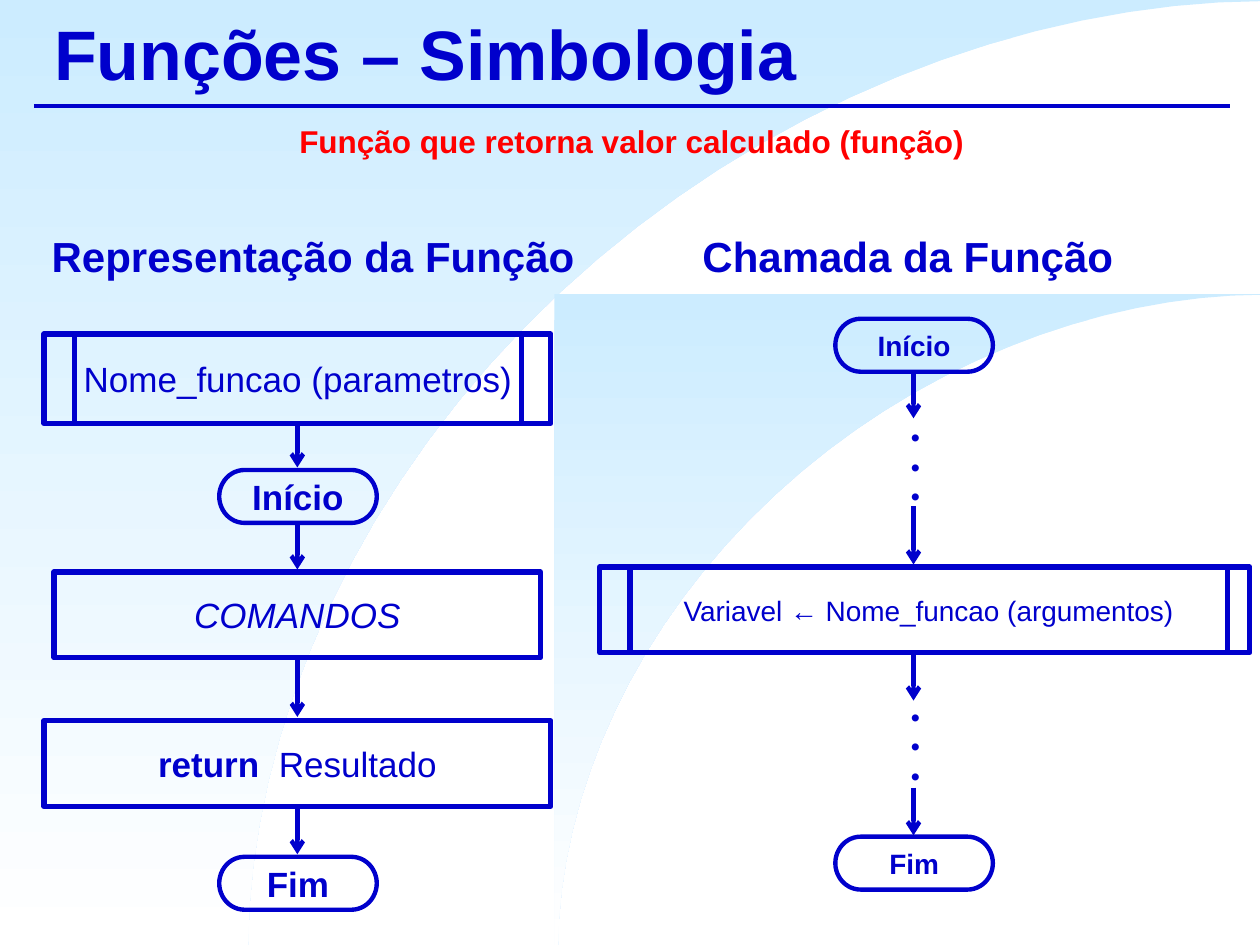
from dataclasses import dataclass
from math import cos, pi, sin

from lxml.etree import SubElement
from pptx import Presentation
from pptx.dml.color import RGBColor
from pptx.enum.shapes import MSO_CONNECTOR, MSO_SHAPE
from pptx.enum.text import MSO_ANCHOR, PP_ALIGN
from pptx.oxml.ns import qn
from pptx.util import Inches, Pt


@dataclass
class Theme:
    font: str = "Arial"
    ink: RGBColor = RGBColor(0x00, 0x00, 0xCC)
    alert: RGBColor = RGBColor(0xFF, 0x00, 0x00)
    sky: RGBColor = RGBColor(0xCC, 0xEC, 0xFF)
    white: RGBColor = RGBColor(0xFF, 0xFF, 0xFF)
    title: int = 40
    head: int = 24
    step: int = 20
    note: int = 18
    call: int = 16
    dot: int = 14
    rule: float = 2.25
    thin: float = 2.5
    thick: float = 3


THEME = Theme()
PROCESS = MSO_SHAPE.FLOWCHART_PROCESS
TERMINAL = MSO_SHAPE.FLOWCHART_TERMINATOR


def style(frame, size, color=THEME.ink, bold=False, italic=False, align=PP_ALIGN.CENTER):
    for para in frame.paragraphs:
        para.alignment = align
        for run in para.runs:
            font = run.font
            font.name, font.size = THEME.font, Pt(size)
            font.bold, font.italic = bold, italic
            font.color.rgb = color


def label(shapes, box, text, size, color=THEME.ink):
    item = shapes.add_textbox(*map(Inches, box))
    item.text_frame.word_wrap = True
    item.text_frame.text = text
    style(item.text_frame, size, color, bold=True)
    return item


def block(shapes, kind, box, text="", size=THEME.step, bold=False, italic=False):
    item = shapes.add_shape(kind, *map(Inches, box))
    item.shadow.inherit = False
    item.fill.background()
    item.line.color.rgb = THEME.ink
    item.line.width = Pt(THEME.thick if kind == PROCESS else THEME.thin)
    frame = item.text_frame
    frame.word_wrap = False
    frame.vertical_anchor = MSO_ANCHOR.MIDDLE
    frame.text = text
    style(frame, size, bold=bold, italic=italic)
    return item


def line(shapes, start, end, width, arrow=False):
    item = shapes.add_connector(MSO_CONNECTOR.STRAIGHT, *map(Inches, start + end))
    item.line.color.rgb = THEME.ink
    item.line.width = Pt(width)
    if arrow:
        SubElement(item.line._get_or_add_ln(), qn("a:tailEnd"), type="arrow")
    SubElement(item._element.spPr, qn("a:effectLst"))


def arrow(shapes, x, top, bottom):
    line(shapes, (x, top), (x, bottom), THEME.thin, arrow=True)


# Backdrop: sky with a white curve cut from its lower right corner
def wave(shapes, box, gap, steps=32, power=1.88):
    x, y, w, h = box
    right, bottom = x + w, y + h
    wide, tall = w - gap, h - 0.01
    turns = [pi / 2 * i / steps for i in range(steps + 1)]
    curve = [(right - wide * abs(cos(t)) ** (2 / power),
              bottom - tall * sin(t) ** (2 / power)) for t in turns]
    points = curve + [(right, y), (x, y), (x, bottom)]
    points = [(Inches(a), Inches(b)) for a, b in points]
    path = shapes.build_freeform(*points[0])
    path.add_line_segments(points[1:], close=True)
    item = path.convert_to_shape()
    item.shadow.inherit = False
    item.line.fill.background()
    item.fill.gradient()
    item.fill.gradient_angle = 270
    for stop, color in zip(item.fill.gradient_stops, (THEME.sky, THEME.white)):
        stop.color.rgb = color


# Title, rule and subtitle
def header(slide, box, title, note):
    x, y, w, h = box
    head = slide.shapes.title
    slide.shapes._spTree.append(head._element)
    head.left, head.top, head.width, head.height = map(Inches, box)
    head.text_frame.text = title
    head.text_frame.vertical_anchor = MSO_ANCHOR.MIDDLE
    style(head.text_frame, THEME.title, bold=True, align=PP_ALIGN.LEFT)
    line(slide.shapes, (x - 0.06, y + 0.84), (x + w + 0.01, y + 0.84), THEME.rule)
    label(slide.shapes, (x - 0.1, y + 0.92, 9.57, 0.4), note, THEME.note, THEME.alert)


# Left flowchart: the function itself
def define(slide, box):
    x, y, w, h = box
    shapes = slide.shapes.add_group_shape().shapes
    mid = x + w / 2
    block(shapes, PROCESS, (x, y, w, 0.71))
    block(shapes, PROCESS, (x + 0.24, y, 3.55, 0.71), "Nome_funcao (parametros)")
    for top, text in ((1.08, "Início"), (4.15, "Fim")):
        block(shapes, TERMINAL, (mid - 0.62, y + top, 1.25, 0.42), text, bold=True)
    block(shapes, PROCESS, (x + 0.08, y + 1.89, 3.86, 0.68), "COMANDOS", italic=True)
    last = block(shapes, PROCESS, (x, y + 3.07, w, 0.68), "return  ", bold=True)
    last.text_frame.paragraphs[0].add_run().text = "Resultado"
    style(last.text_frame, THEME.step)
    last.text_frame.paragraphs[0].runs[0].font.bold = True
    for top, end in ((0.7, 1.06), (1.52, 1.87), (2.59, 3.04), (3.75, 4.13)):
        arrow(shapes, mid, y + top, y + end)


# Right flowchart: the call
def call(slide, box):
    x, y, w, h = box
    shapes = slide.shapes.add_group_shape().shapes
    mid = x + 2.49
    for top, text in ((0, "Início"), (4.11, "Fim")):
        block(shapes, TERMINAL, (mid - 0.62, y + top, 1.25, 0.42), text, THEME.call, bold=True)
    block(shapes, PROCESS, (x, y + 1.97, w, 0.68))
    block(shapes, PROCESS, (x + 0.24, y + 1.97, 4.74, 0.68),
          "Variavel ← Nome_funcao (argumentos)", THEME.call)
    for top, end in ((0.44, 0.79), (1.49, 1.95), (2.65, 3.03), (3.72, 4.1)):
        arrow(shapes, mid, y + top, y + end)
    for top in (0.78, 3):
        dots = label(shapes, (mid - 0.38, y + top, 0.79, 0.79), "•\n•\n•", THEME.dot).text_frame
        dots.margin_left = dots.margin_right = Inches(0.08)
        dots.margin_top = dots.margin_bottom = Inches(0.04)


deck = Presentation()
deck.slide_width, deck.slide_height = Inches(10), Inches(7.5)
slide = deck.slides.add_slide(deck.slide_layouts[5])
wave(slide.shapes, (0, 0, 10, 7.5), 1.97)
wave(slide.shapes, (4.4, 2.33, 5.6, 5.17), 0.03)
header(slide, (0.33, 0, 9.42, 0.83), "Funções – Simbologia",
       "Função que retorna valor calculado (função)")
for left, text in ((0.12, "Representação da Função"), (4.84, "Chamada da Função")):
    label(slide.shapes, (left, 1.78, 4.73, 0.5), text, THEME.head)
define(slide, (0.35, 2.65, 4.02, 4.57))
call(slide, (4.76, 2.53, 5.16, 4.53))
deck.save("out.pptx")
